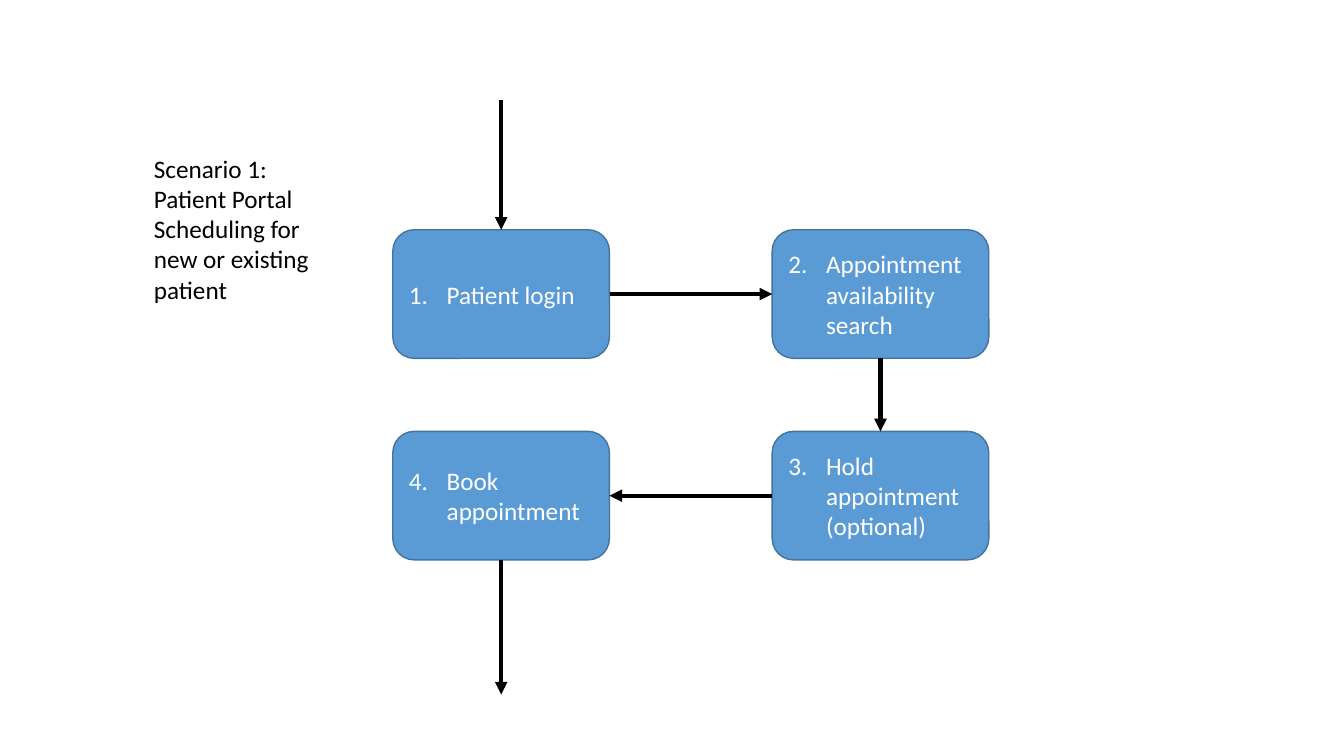
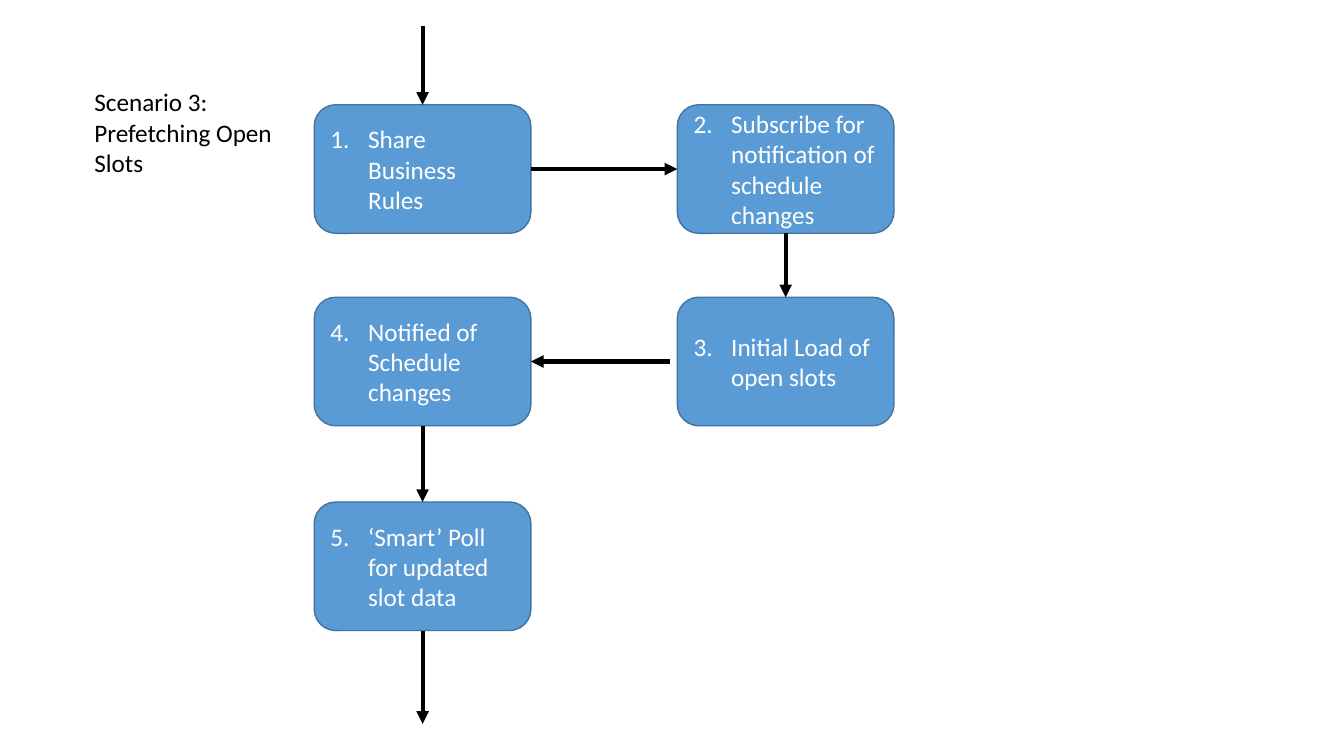
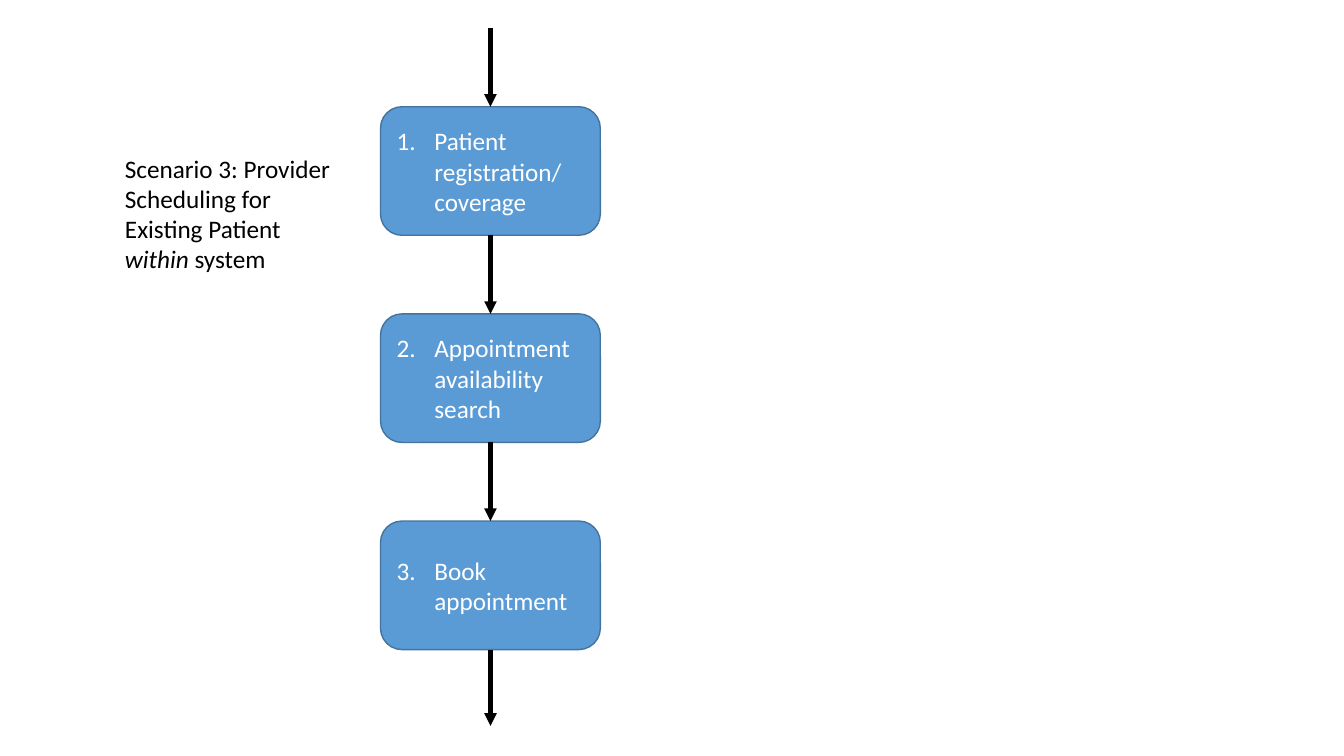
from lxml import etree
from pptx import Presentation
from pptx.dml.color import RGBColor
from pptx.enum.shapes import MSO_CONNECTOR, MSO_SHAPE
from pptx.enum.text import MSO_ANCHOR, MSO_AUTO_SIZE, PP_ALIGN
from pptx.oxml.ns import qn
from pptx.util import Cm, Pt

STRAIGHT = MSO_CONNECTOR.STRAIGHT
ROUNDED = MSO_SHAPE.ROUNDED_RECTANGLE
MIDDLE = MSO_ANCHOR.MIDDLE
GROW = MSO_AUTO_SIZE.SHAPE_TO_FIT_TEXT
LEFT = PP_ALIGN.LEFT

BLUE = RGBColor(0x5B, 0x9B, 0xD5)
EDGE = RGBColor(0x43, 0x73, 0x9E)
BLACK = RGBColor(0, 0, 0)
WHITE = RGBColor(255, 255, 255)
FONT, SIZE = "Calibri", Pt(18)
BOX_H = 3.24
INDENT = Cm(0.95)

# Connection sites of a rounded rectangle
TOP_SITE, LEFT_SITE, BOTTOM_SITE, RIGHT_SITE = range(4)

# Lengths in cm. title: (text, italic) runs; at: title left, top, width, height;
# cols, rows: box edges; steps: (text, column, row);
# start, end: where the flow enters and leaves;
# gaps: space left between a step and its outgoing arrow.
FLOWS = [
    dict(
        title=[("Scenario 1: Patient Portal Scheduling for new or existing patient", False)],
        at=(3.63, 3.73, 5.16, 4.11),
        cols=(9.9, 19.46), rows=(5.79, 10.87), width=5.46,
        start=2.51, end=17.5, gaps={},
        steps=[
            ("Patient login", 0, 0),
            ("Appointment availability search", 1, 0),
            ("Hold appointment (optional)", 1, 1),
            ("Book appointment", 0, 1),
        ],
    ),
    dict(
        title=[("Scenario 3: Prefetching Open Slots", False)],
        at=(2.13, 2.06, 5.16, 2.57),
        cols=(7.92, 17.07), rows=(2.64, 7.49, 12.65), width=5.46,
        start=0.66, end=18.24, gaps={3: 0.18},
        steps=[
            ("Share Business Rules", 0, 0),
            ("Subscribe for notification of schedule changes", 1, 0),
            ("Initial Load of open slots", 1, 1),
            ("Notified of Schedule changes", 0, 1),
            ("‘Smart’ Poll for updated slot data", 0, 2),
        ],
    ),
    dict(
        title=[
            ("Scenario 3: Provider Scheduling for Existing Patient ", False),
            ("within", True),
            (" system", False),
        ],
        at=(2.9, 3.73, 5.89, 3.33),
        cols=(9.59,), rows=(2.69, 7.91, 13.13), width=5.54,
        start=0.71, end=18.29, gaps={},
        steps=[
            ("Patient registration/ coverage", 0, 0),
            ("Appointment availability search", 0, 1),
            ("Book appointment", 0, 2),
        ],
    ),
]


def style(run, color, italic=False):
    font = run.font
    font.name, font.size, font.italic = FONT, SIZE, italic
    font.color.rgb = color


def add_title(slide, runs, at):
    box = slide.shapes.add_textbox(*map(Cm, at))
    frame = box.text_frame
    frame.word_wrap = True
    frame.auto_size = GROW
    for text, italic in runs:
        run = frame.paragraphs[0].add_run()
        run.text = text
        style(run, BLACK, italic)


def add_step(slide, number, text, left, top, width):
    box = slide.shapes.add_shape(ROUNDED, Cm(left), Cm(top), Cm(width), Cm(BOX_H))
    box.shadow.inherit = False
    box.fill.solid()
    box.fill.fore_color.rgb = BLUE
    box.line.color.rgb = EDGE
    box.line.width = Pt(1)
    frame = box.text_frame
    frame.word_wrap = True
    frame.vertical_anchor = MIDDLE
    frame.text = text
    para = frame.paragraphs[0]
    para.alignment = LEFT
    style(para.runs[0], WHITE)
    props = para._p.get_or_add_pPr()
    props.set("marL", str(INDENT))
    props.set("indent", str(-INDENT))
    etree.SubElement(props, qn("a:buAutoNum"), type="arabicPeriod", startAt=str(number))
    return box


def add_arrow(slide, start, end):
    line = slide.shapes.add_connector(STRAIGHT, *start, *end)
    line.line.color.rgb = BLACK
    line.line.width = Pt(3)
    etree.SubElement(line.line._get_or_add_ln(), qn("a:tailEnd"), type="triangle")
    etree.SubElement(line._element.spPr, qn("a:effectLst"))
    return line


def site_point(box, site):
    mid_x, mid_y = box.left + box.width // 2, box.top + box.height // 2
    return {
        TOP_SITE: (mid_x, box.top),
        LEFT_SITE: (box.left, mid_y),
        BOTTOM_SITE: (mid_x, box.top + box.height),
        RIGHT_SITE: (box.left + box.width, mid_y),
    }[site]


def link(slide, first, second, gap):
    """Join two steps on facing sides, leaving a sideways gap after the first."""
    if first.top != second.top:
        out, into = BOTTOM_SITE, TOP_SITE
    elif first.left < second.left:
        out, into = RIGHT_SITE, LEFT_SITE
    else:
        out, into = LEFT_SITE, RIGHT_SITE
    x, y = site_point(first, out)
    shift = Cm(gap) if out == RIGHT_SITE else -Cm(gap)
    line = add_arrow(slide, (x + shift, y), site_point(second, into))
    if not gap:
        line.begin_connect(first, out)
    line.end_connect(second, into)


def add_flow(slide, flow):
    add_title(slide, flow["title"], flow["at"])
    boxes = [
        add_step(slide, number, text, flow["cols"][col], flow["rows"][row], flow["width"])
        for number, (text, col, row) in enumerate(flow["steps"], 1)
    ]
    for number, (first, second) in enumerate(zip(boxes, boxes[1:]), 1):
        link(slide, first, second, flow["gaps"].get(number, 0))

    x, y = site_point(boxes[0], TOP_SITE)
    add_arrow(slide, (x, Cm(flow["start"])), (x, y)).end_connect(boxes[0], TOP_SITE)
    x, y = site_point(boxes[-1], BOTTOM_SITE)
    add_arrow(slide, (x, y), (x, Cm(flow["end"]))).begin_connect(boxes[-1], BOTTOM_SITE)


def main():
    deck = Presentation()
    deck.slide_width, deck.slide_height = Cm(33.87), Cm(19.05)
    blank = deck.slide_layouts[6]
    for flow in FLOWS:
        add_flow(deck.slides.add_slide(blank), flow)
    deck.save("out.pptx")


if __name__ == "__main__":
    main()
